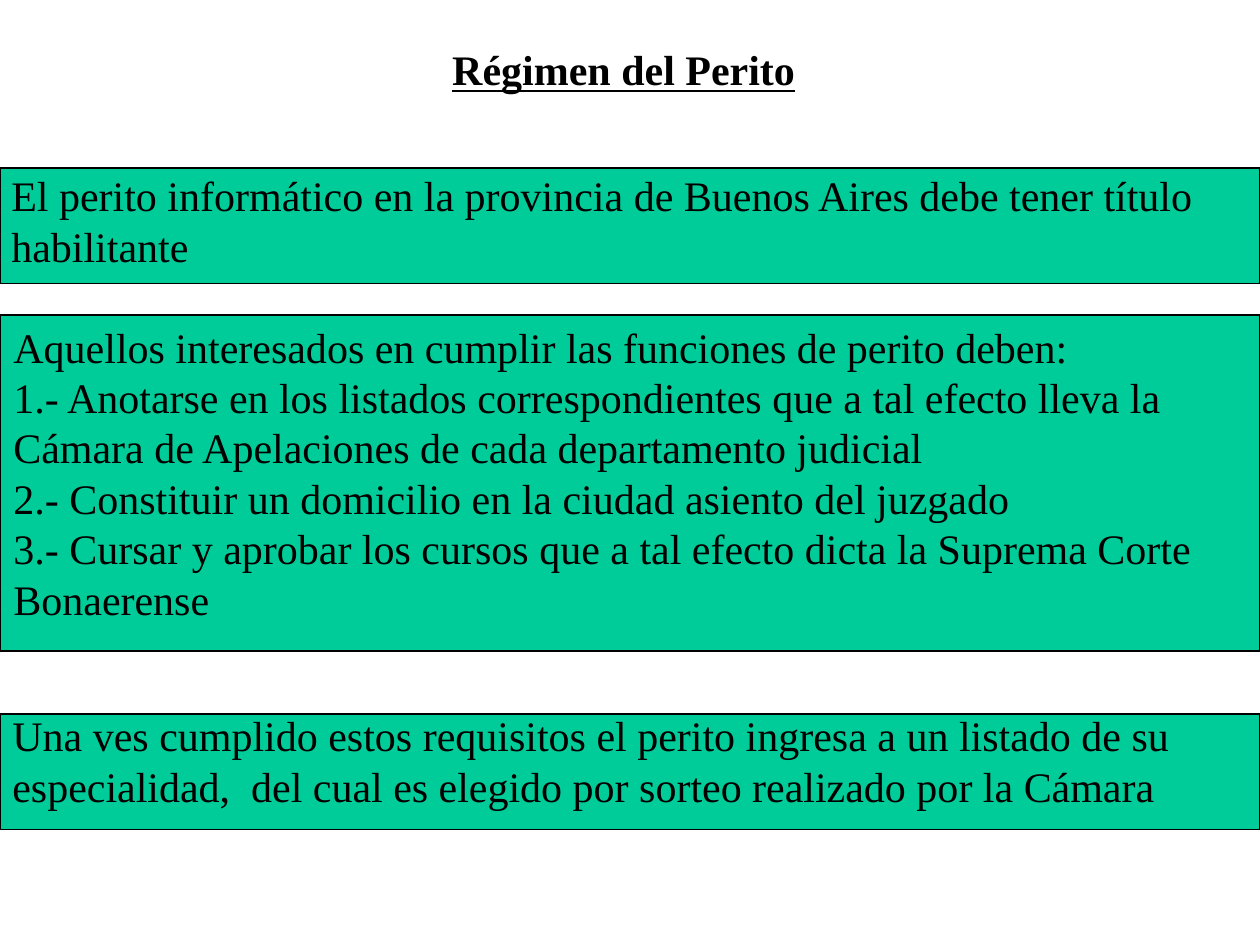
from pptx import Presentation
from pptx.dml.color import RGBColor
from pptx.enum.shapes import MSO_SHAPE
from pptx.enum.text import PP_ALIGN
from pptx.util import Inches, Pt

RECTANGLE = MSO_SHAPE.RECTANGLE
LEFT, CENTER = PP_ALIGN.LEFT, PP_ALIGN.CENTER
COLUMNS, ROWS = 120, 90  # grid of twelve cells to the inch


def color(value):
    return RGBColor.from_string(value)


class SlideBuilder:
    font_name = "Times New Roman"
    font_size = Pt(24)
    ink = "000000"
    panel_fill = "00CC99"

    def __init__(self, presentation):
        self.column = presentation.slide_width / COLUMNS
        self.row = presentation.slide_height / ROWS
        self.slide = presentation.slides.add_slide(presentation.slide_layouts[6])

    def place(self, left, top, width, height):
        return (round(left * self.column), round(top * self.row),
                round(width * self.column), round(height * self.row))

    def panel(self, top, height):
        shape = self.slide.shapes.add_shape(
            RECTANGLE, *self.place(0, top, COLUMNS, height))
        shape.shadow.inherit = False
        shape.fill.solid()
        shape.fill.fore_color.rgb = color(self.panel_fill)
        shape.line.color.rgb = color(self.ink)
        shape.line.width = Pt(0.75)

    def text(self, box, lines, alignment=LEFT, heading=False):
        frame = self.slide.shapes.add_textbox(*self.place(*box)).text_frame
        frame.word_wrap = True
        for index, line in enumerate(lines):
            paragraph = frame.add_paragraph() if index else frame.paragraphs[0]
            paragraph.alignment = alignment
            run = paragraph.add_run()
            run.text = line
            font = run.font
            font.name, font.size = self.font_name, self.font_size
            font.color.rgb = color(self.ink)
            font.bold = font.underline = heading


# Panel top and height, text left and top (grid cells), lines
SECTIONS = [
    (16, 11, -0.1, 15.6, [
        "El perito informático en la provincia de Buenos Aires debe tener título",
        "habilitante",
    ]),
    (30, 32, 0.1, 30, [
        "Aquellos interesados en cumplir las funciones de perito deben:",
        "1.- Anotarse en los listados correspondientes que a tal efecto lleva la",
        "Cámara de Apelaciones de cada departamento judicial",
        "2.- Constituir un domicilio en la ciudad asiento del juzgado",
        "3.- Cursar y aprobar los cursos que a tal efecto dicta la Suprema Corte",
        "Bonaerense",
    ]),
    (68, 11, 0, 67, [
        "Una ves cumplido estos requisitos el perito ingresa a un listado de su",
        "especialidad,  del cual es elegido por sorteo realizado por la Cámara",
    ]),
]


def main():
    presentation = Presentation()
    presentation.slide_width = Inches(10)
    presentation.slide_height = Inches(7.5)
    builder = SlideBuilder(presentation)

    # Coloured panels behind the text
    for top, height, *_ in SECTIONS:
        builder.panel(top, height)

    # Heading
    builder.text((0, 3.6, 118.8, 6), ["Régimen del Perito"], CENTER, heading=True)

    # Section texts
    for _, _, left, top, lines in SECTIONS:
        builder.text((left, top, COLUMNS, 1.2 + 4.8 * len(lines)), lines)

    presentation.save("out.pptx")


if __name__ == "__main__":
    main()
